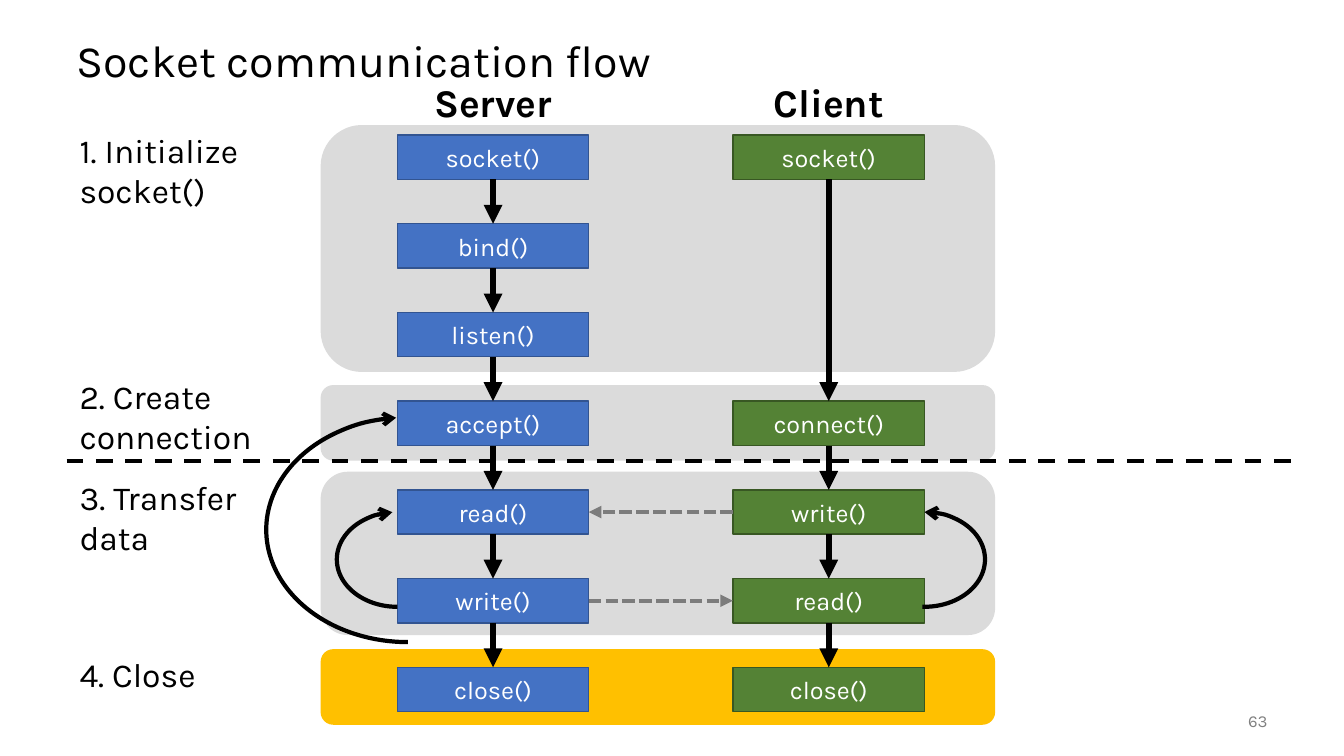
from itertools import pairwise

from lxml.etree import SubElement
from pptx import Presentation
from pptx.dml.color import RGBColor
from pptx.enum.dml import MSO_LINE
from pptx.enum.shapes import MSO_CONNECTOR, MSO_SHAPE
from pptx.enum.text import MSO_ANCHOR, MSO_AUTO_SIZE, PP_ALIGN
from pptx.oxml.ns import qn
from pptx.util import Inches, Pt

BLACK = RGBColor(0x00, 0x00, 0x00)
WHITE = RGBColor(0xFF, 0xFF, 0xFF)
BLUE = RGBColor(0x44, 0x72, 0xC4)
BLUE_EDGE = RGBColor(0x32, 0x54, 0x91)
GREEN = RGBColor(0x54, 0x82, 0x35)
GREEN_EDGE = RGBColor(0x38, 0x57, 0x23)
PANEL_GRAY = RGBColor(0xDB, 0xDB, 0xDB)
AMBER = RGBColor(0xFF, 0xC0, 0x00)
ARROW_GRAY = RGBColor(0x7C, 0x7C, 0x7C)
NUMBER_GRAY = RGBColor(0x80, 0x80, 0x80)

FIRST_ROW, ROW_STEP = 1.34, 0.88
CALL_WIDTH, CALL_HEIGHT = 1.9, 0.44
PANEL_LEFT, PANEL_WIDTH = 3.18, 6.69
LABEL_LEFT, LABEL_WIDTH = 0.69, 2.38
TOP, LEFT, BOTTOM, RIGHT = range(4)

PHASES = [
    ("1. Initialize socket()", 1.24, 2.45, PANEL_GRAY, 1.24, 0.91),
    ("2. Create connection", 3.82, 0.75, PANEL_GRAY, 3.68, 0.91),
    ("3. Transfer data", 4.68, 1.62, PANEL_GRAY, 4.68, 0.91),
    ("4. Close", 6.44, 0.75, AMBER, 6.44, 0.5),
]
SERVER_CALLS = {0: "socket()", 1: "bind()", 2: "listen()", 3: "accept()",
                4: "read()", 5: "write()", 6: "close()"}
CLIENT_CALLS = {0: "socket()", 3: "connect()", 4: "write()", 5: "read()",
                6: "close()"}
LANES = [
    ("Server", 4.0, 3.94, SERVER_CALLS, BLUE, BLUE_EDGE),
    ("Client", 7.33, 7.27, CLIENT_CALLS, GREEN, GREEN_EDGE),
]
LOOPS = [
    ((3.34, 5.08, 1.2, 0.94), 180, 50.404, "tailEnd"),
    ((8.57, 5.08, 1.2, 0.94), 0, 55.526, "headEnd"),
    ((2.64, 4.14, 2.81, 2.23), 180, 50.404, "tailEnd"),
]


def apply(target, values):
    for name, value in values.items():
        setattr(target, name, value)


def write_text(shape, text, size, color, frame_format=None, para_format=None, bold=False):
    frame = shape.text_frame
    apply(frame, {"word_wrap": True, **(frame_format or {})})
    para = frame.paragraphs[0]
    apply(para, para_format or {})
    span = para.add_run()
    span.text = text
    apply(span.font, {"name": "Karla", "size": Pt(size), "bold": bold})
    span.font.color.rgb = color


def add_text(page, area, *text, **formats):
    box = page.shapes.add_textbox(*map(Inches, area))
    write_text(box, *text, **formats)


def add_block(page, kind, area, fill=None):
    block = page.shapes.add_shape(kind, *map(Inches, area))
    block.shadow.inherit = False
    if fill is None:
        block.fill.background()
    else:
        block.fill.solid()
        block.fill.fore_color.rgb = fill
    block.line.fill.background()
    return block


def style_line(shape, color, width, dash=None):
    shape.line.color.rgb = color
    apply(shape.line, {"width": Pt(width), "dash_style": dash})


def add_arrowhead(shape, end, kind):
    outline = shape.element.spPr.find(qn("a:ln"))
    SubElement(outline, qn(f"a:{end}"), type=kind)


def add_line(page, start, finish, color, width, dash=None):
    line = page.shapes.add_connector(MSO_CONNECTOR.STRAIGHT, *map(Inches, start + finish))
    style_line(line, color, width, dash)
    SubElement(line.element.spPr, qn("a:effectLst"))
    return line


def add_arrow(page, source, source_side, target, target_side, color, width, dash=None):
    arrow = add_line(page, (0, 0), (0, 0), color, width, dash)
    arrow.begin_connect(source, source_side)
    arrow.end_connect(target, target_side)
    add_arrowhead(arrow, "tailEnd", "triangle")


def add_phase(page, name, top, height, fill, label_top, label_height):
    add_block(page, MSO_SHAPE.ROUNDED_RECTANGLE, (PANEL_LEFT, top, PANEL_WIDTH, height), fill)
    add_text(page, (LABEL_LEFT, label_top, LABEL_WIDTH, label_height), name, 24, BLACK,
             frame_format={"auto_size": MSO_AUTO_SIZE.SHAPE_TO_FIT_TEXT})


def add_call(page, left, row, text, fill, edge):
    area = (left, FIRST_ROW + row * ROW_STEP, CALL_WIDTH, CALL_HEIGHT)
    call = add_block(page, MSO_SHAPE.RECTANGLE, area, fill)
    style_line(call, edge, 1)
    write_text(call, text, 18, WHITE, {"vertical_anchor": MSO_ANCHOR.MIDDLE},
               {"alignment": PP_ALIGN.CENTER})
    return call


def add_lane(page, heading, heading_left, left, names, fill, edge):
    add_text(page, (heading_left, 0.73, 1.78, 0.57), heading, 28, BLACK, bold=True,
             frame_format={"auto_size": MSO_AUTO_SIZE.SHAPE_TO_FIT_TEXT},
             para_format={"alignment": PP_ALIGN.CENTER})
    calls = {row: add_call(page, left, row, text, fill, edge) for row, text in names.items()}
    for upper, lower in pairwise(calls.values()):
        add_arrow(page, upper, BOTTOM, lower, TOP, BLACK, 4.5)
    return calls


def add_loop(page, area, rotation, end_angle, arrow_end):
    loop = add_block(page, MSO_SHAPE.ARC, area)
    loop.rotation = rotation
    loop.adjustments[0] = 162
    loop.adjustments[1] = end_angle
    style_line(loop, BLACK, 3)
    add_arrowhead(loop, arrow_end, "arrow")


def main():
    deck = Presentation()
    apply(deck, {"slide_width": Inches(13.33), "slide_height": Inches(7.5)})
    page = deck.slides.add_slide(deck.slide_layouts[6])
    middle = {"vertical_anchor": MSO_ANCHOR.MIDDLE}
    add_text(page, (0.66, 0.25, 12, 0.75), "Socket communication flow", 32, BLACK,
             frame_format=middle, para_format={"line_spacing": 0.9})
    add_text(page, (11.67, 6.95, 1, 0.4), "63", 12, NUMBER_GRAY,
             frame_format=middle, para_format={"alignment": PP_ALIGN.RIGHT})
    for phase in PHASES:
        add_phase(page, *phase)
    server, client = [add_lane(page, *lane) for lane in LANES]
    add_arrow(page, client[4], LEFT, server[4], RIGHT, ARROW_GRAY, 3, MSO_LINE.SQUARE_DOT)
    add_arrow(page, server[5], RIGHT, client[5], LEFT, ARROW_GRAY, 3, MSO_LINE.SQUARE_DOT)
    for loop in LOOPS:
        add_loop(page, *loop)
    add_line(page, (0.66, 4.57), (12.82, 4.57), BLACK, 3, MSO_LINE.DASH)
    deck.save("out.pptx")


if __name__ == "__main__":
    main()
